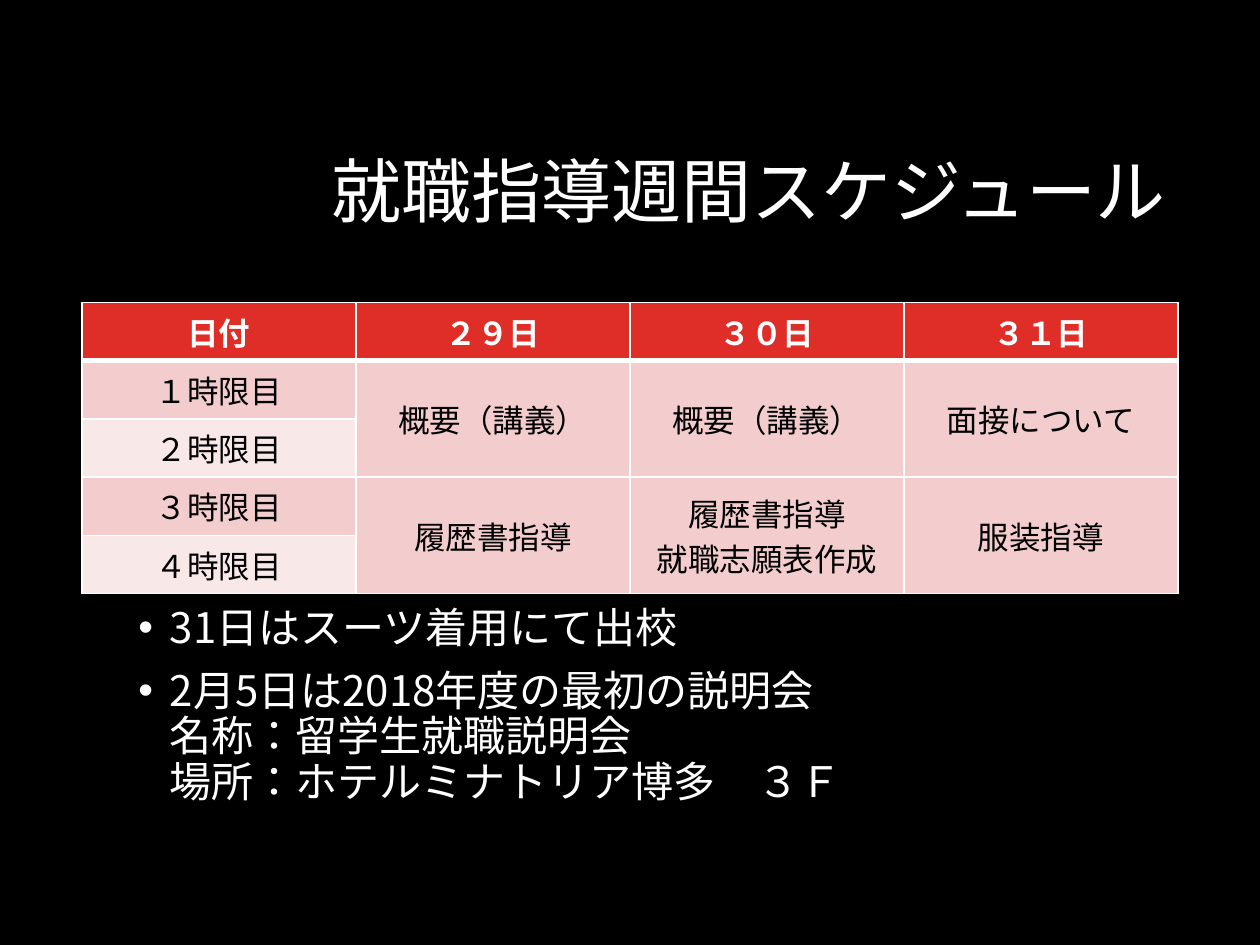
from dataclasses import dataclass

from lxml import etree
from pptx import Presentation
from pptx.dml.color import RGBColor
from pptx.enum import lang
from pptx.enum import text as t
from pptx.oxml import ns
from pptx.util import Pt


@dataclass(frozen=True)
class Theme:
    back: str = "000000"
    light: str = "FFFFFF"
    dark: str = "000000"
    head: str = "DF2E28"
    band: str = "F3CDCD"
    pale: str = "F9E8E8"
    font: str = "Noto Sans CJK JP"
    cell: str = "Quicksand"
    title: int = 40
    body: int = 24
    table: int = 18
    pitch: float = 0.9


THEME = Theme()
HEADS = ["日付", "２９日", "３０日", "３１日"]
HOURS = ["１時限目", "２時限目", "３時限目", "４時限目"]
BLOCKS = [
    ["概要（講義）", "概要（講義）", "面接について"],
    ["履歴書指導", "履歴書指導\n就職志願表作成", "服装指導"],
]
NOTES = [
    "31日はスーツ着用にて出校",
    "2月5日は2018年度の最初の説明会\v名称：留学生就職説明会\v場所：ホテルミナトリア博多　３Ｆ",
]


def rgb(code):
    return RGBColor.from_string(code)


def style(para, size, color, font=THEME.font, bold=False):
    for run in para.runs:
        run.font.size = Pt(size)
        run.font.bold = bold
        run.font.color.rgb = rgb(color)
        run.font.name = font
        run.font.language_id = lang.MSO_LANGUAGE_ID.JAPANESE
        props = run._r.get_or_add_rPr()
        props.set("altLang", "en-US")
        east = etree.SubElement(props, ns.qn("a:ea"))
        east.set("typeface", THEME.font)


def edge(cell, side, width):
    props = cell._tc.get_or_add_tcPr()
    line = etree.Element(ns.qn(f"a:ln{side}"), w=str(Pt(width)))
    fill = etree.SubElement(line, ns.qn("a:solidFill"))
    etree.SubElement(fill, ns.qn("a:srgbClr"), val=THEME.light)
    # Borders come before the fill in the cell properties
    props.insert(len(props.findall("*")) - 1, line)


def put(cell, words, fill, color=THEME.dark, head=False, mid=False):
    cell.text_frame.text = words
    cell.fill.solid()
    cell.fill.fore_color.rgb = rgb(fill)
    if mid:
        cell.vertical_anchor = t.MSO_ANCHOR.MIDDLE
    for para in cell.text_frame.paragraphs:
        para.alignment = t.PP_ALIGN.CENTER
        style(para, THEME.table, color, THEME.cell, head)


def add_title(slide, words):
    box = slide.shapes.title
    box.left, box.top, box.width, box.height = Pt(171.5), Pt(60.5), Pt(502), Pt(101.5)
    frame = box.text_frame
    frame.text = words
    frame.vertical_anchor = t.MSO_ANCHOR.MIDDLE
    para = frame.paragraphs[0]
    para.alignment = t.PP_ALIGN.RIGHT
    para.line_spacing = THEME.pitch
    style(para, THEME.title, THEME.light)


def add_plan(slide):
    rows, cols = len(HOURS) + 1, len(HEADS)
    frame = slide.shapes.add_table(rows, cols, Pt(46.8), Pt(172.8), Pt(626.4), Pt(166))
    table = frame.table
    for col, words in enumerate(HEADS):
        put(table.cell(0, col), words, THEME.head, THEME.light, head=True)
    for row, words in enumerate(HOURS):
        put(table.cell(row + 1, 0), words, THEME.pale if row % 2 else THEME.band)
    for half, block in enumerate(BLOCKS):
        top = 1 + 2 * half
        for col, words in enumerate(block, 1):
            table.cell(top, col).merge(table.cell(top + 1, col))
            put(table.cell(top, col), words, THEME.band, mid=True)
            put(table.cell(top + 1, col), "", THEME.band)
    for row in range(rows):
        for col in range(cols):
            for side in "LRTB":
                thick = (row, side) in ((0, "B"), (1, "T"))
                edge(table.cell(row, col), side, 3 if thick else 1)


def add_notes(slide, items):
    box = slide.shapes.add_textbox(Pt(72), Pt(343.5), Pt(648), Pt(129.5))
    frame = box.text_frame
    frame.word_wrap = True
    frame.text = "\n".join(items)
    for para in frame.paragraphs:
        para.line_spacing = THEME.pitch
        para.space_before = Pt(10)
        style(para, THEME.body, THEME.light)
        props = para._p.get_or_add_pPr()
        props.set("marL", str(Pt(18)))
        props.set("indent", str(-Pt(18)))
        font = etree.SubElement(props, ns.qn("a:buFont"))
        font.set("typeface", "Arial")
        etree.SubElement(props, ns.qn("a:buChar"), char="•")


def main():
    deck = Presentation()
    deck.slide_width, deck.slide_height = Pt(720), Pt(540)
    slide = deck.slides.add_slide(deck.slide_layouts[5])
    slide.background.fill.solid()
    slide.background.fill.fore_color.rgb = rgb(THEME.back)
    add_title(slide, "就職指導週間スケジュール")
    add_plan(slide)
    add_notes(slide, NOTES)
    deck.save("out.pptx")


if __name__ == "__main__":
    main()
